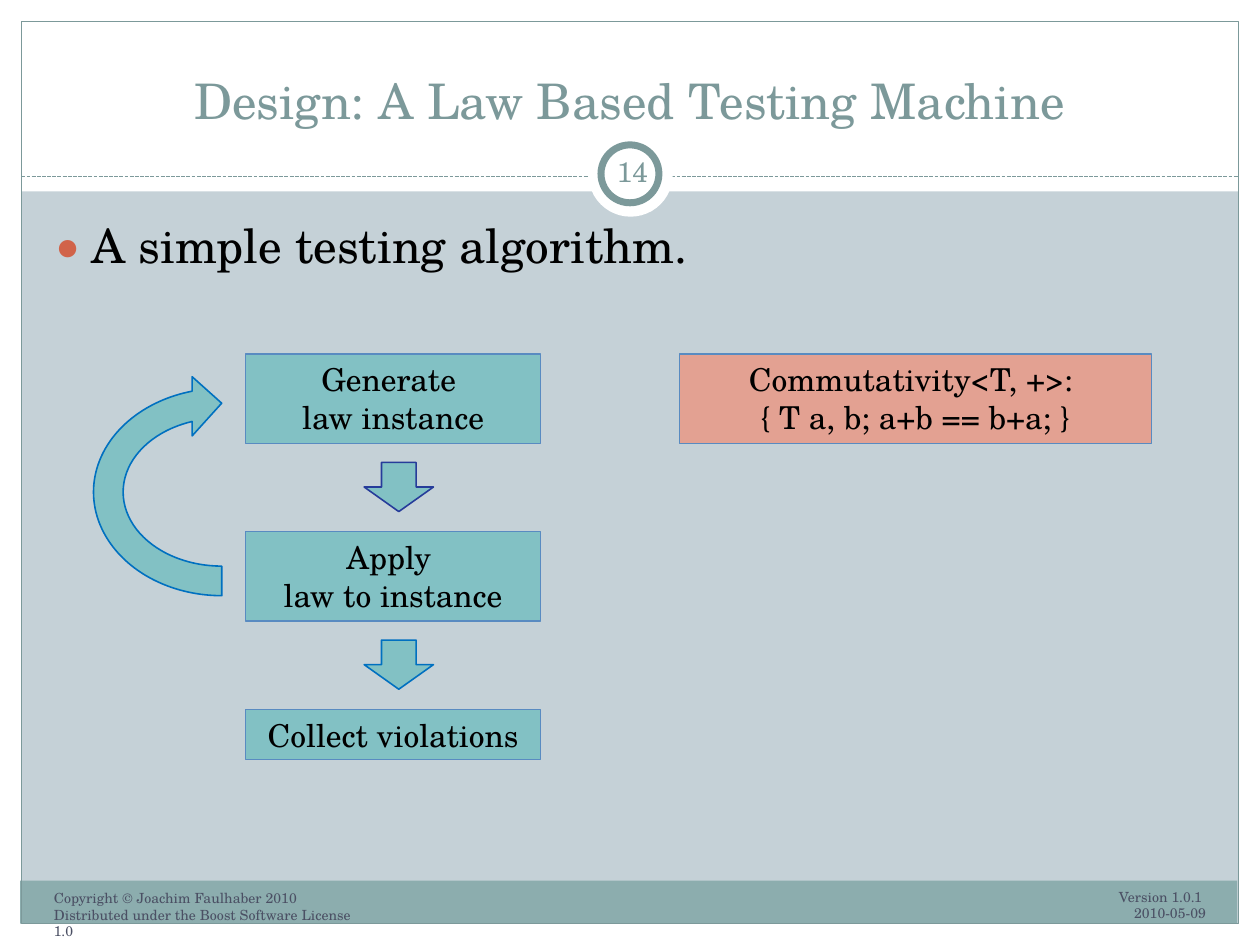
"""Build the slide about a law based testing machine."""
from lxml import etree
from pptx import Presentation
from pptx.dml.color import RGBColor
from pptx.enum.dml import MSO_LINE
from pptx.enum.shapes import MSO_CONNECTOR, MSO_SHAPE
from pptx.enum.text import MSO_ANCHOR, PP_ALIGN
from pptx.oxml.ns import qn
from pptx.util import Inches, Pt

RECTANGLE, ELLIPSE = MSO_SHAPE.RECTANGLE, MSO_SHAPE.OVAL
DOWN_ARROW, CIRCULAR_ARROW = MSO_SHAPE.DOWN_ARROW, MSO_SHAPE.CIRCULAR_ARROW
LEFT, CENTER, RIGHT = PP_ALIGN.LEFT, PP_ALIGN.CENTER, PP_ALIGN.RIGHT
TOP, MIDDLE, BOTTOM = MSO_ANCHOR.TOP, MSO_ANCHOR.MIDDLE, MSO_ANCHOR.BOTTOM

FONT = "TeX Gyre Schola"
WHITE, BLACK, GRAY, SLATE = "FFFFFF", "000000", "7C999A", "4B5064"
BACKGROUND, FOOTER_BAND, BULLET = "C5D1D7", "8CADAE", "D16349"
TEAL, SALMON, BOX_LINE, BLUE, NAVY = "82C1C4", "E3A192", "598BC1", "0070C0", "263C9A"

FRAME_PARTS = [
    (RECTANGLE, (0, 7.33, 10, 0.17), WHITE, None, 0),
    (RECTANGLE, (0, 0, 10, 1.52), WHITE, None, 0),
    (RECTANGLE, (0, 0, 0.17, 7.5), WHITE, None, 0),
    (RECTANGLE, (9.83, 0, 0.17, 7.5), WHITE, None, 0),
    (RECTANGLE, (0.16, 6.99, 9.66, 0.34), FOOTER_BAND, None, 0),
    (RECTANGLE, (0.17, 0.17, 9.66, 7.16), None, GRAY, 0.75),
]
BADGE_PARTS = [
    (ELLIPSE, (4.67, 1.05, 0.67, 0.67), WHITE, None, 0),
    (ELLIPSE, (4.77, 1.15, 0.46, 0.46), WHITE, GRAY, 4),
]
TITLE = "Design: A Law Based Testing Machine"
STATEMENT = "A simple testing algorithm."
TEXTS = [
    (TITLE, (0.33, 0.25, 9.33, 0.83), 28, GRAY, CENTER, BOTTOM),
    ("Copyright © Joachim Faulhaber 2010\vDistributed under the Boost Software License 1.0",
     (0.33, 7.01, 2.64, 0.4), 8, SLATE, LEFT, TOP),
    ("14", (4.77, 1.12, 0.5, 0.48), 16, GRAY, CENTER, MIDDLE),
    ("Version 1.0.1 \v2010-05-09", (8.52, 7, 1.15, 0.4), 8, SLATE, RIGHT, TOP),
]
STEPS = [
    ("Generate \vlaw instance", 0.71, NAVY),
    ("Apply \vlaw to instance", 0.71, BLUE),
    ("Collect violations", 0.4, None),
]
EXAMPLE = "Commutativity<T, +>: \v{ T a, b; a+b == b+a; }"
STEP_LEFT, STEP_TOP, STEP_WIDTH, STEP_PITCH = 1.95, 2.81, 2.34, 1.41
ARROW_LEFT, ARROW_OFFSET, ARROW_SIZE = 2.89, 0.86, (0.55, 0.39)


def color(value):
    return RGBColor.from_string(value)


def add_part(slide, kind, box, fill, line, width):
    shape = slide.shapes.add_shape(kind, *map(Inches, box))
    shape.shadow.inherit = False
    if fill:
        shape.fill.solid()
        shape.fill.fore_color.rgb = color(fill)
    else:
        shape.fill.background()
    if line:
        shape.line.color.rgb = color(line)
        shape.line.width = Pt(width)
    else:
        shape.line.fill.background()
    return shape


def write_text(shape, text, size, ink, align, anchor):
    frame = shape.text_frame
    frame.word_wrap = True
    frame.vertical_anchor = anchor
    paragraph = frame.paragraphs[0]
    paragraph.text = text
    paragraph.alignment = align
    for run in paragraph.runs:
        for name, value in {"name": FONT, "size": Pt(size)}.items():
            setattr(run.font, name, value)
        run.font.color.rgb = color(ink)
    return frame


def add_text(slide, text, box, size, ink, align, anchor):
    shape = slide.shapes.add_textbox(*map(Inches, box))
    return write_text(shape, text, size, ink, align, anchor)


def add_card(slide, text, box, fill):
    shape = add_part(slide, RECTANGLE, box, fill, BOX_LINE, 0.75)
    write_text(shape, text, 18, BLACK, CENTER, TOP)


def add_bullet(paragraph):
    properties = paragraph._p.get_or_add_pPr()
    properties.set("marL", str(Inches(0.3)))
    properties.set("indent", str(-Inches(0.3)))
    bullet_color = etree.SubElement(properties, qn("a:buClr"))
    etree.SubElement(bullet_color, qn("a:srgbClr"), val=BULLET)
    etree.SubElement(properties, qn("a:buSzPct"), val="85000")
    etree.SubElement(properties, qn("a:buFont"), typeface=FONT)
    etree.SubElement(properties, qn("a:buChar"), char="●")


def add_divider(slide):
    ends = map(Inches, (0.17, 1.4, 9.83, 1.4))
    divider = slide.shapes.add_connector(MSO_CONNECTOR.STRAIGHT, *ends)
    divider.line.color.rgb = color(GRAY)
    divider.line.width = Pt(0.75)
    divider.line.dash_style = MSO_LINE.SQUARE_DOT
    etree.SubElement(divider._element.spPr, qn("a:effectLst"))


def add_flow(slide):
    for index, (text, height, arrow_line) in enumerate(STEPS):
        top = STEP_TOP + index * STEP_PITCH
        add_card(slide, text, (STEP_LEFT, top, STEP_WIDTH, height), TEAL)
        if arrow_line:
            box = (ARROW_LEFT, top + ARROW_OFFSET, *ARROW_SIZE)
            add_part(slide, DOWN_ARROW, box, TEAL, arrow_line, 0.9)
    loop = add_part(slide, CIRCULAR_ARROW, (0.82, 2.77, 1.88, 2.27), TEAL, BLUE, 0.9)
    loop.rotation = 270


def main():
    presentation = Presentation()
    presentation.slide_width, presentation.slide_height = Inches(10), Inches(7.5)
    slide = presentation.slides.add_slide(presentation.slide_layouts[6])
    slide.background.fill.solid()
    slide.background.fill.fore_color.rgb = color(BACKGROUND)

    for part in FRAME_PARTS:
        add_part(slide, *part)
    add_divider(slide)
    for part in BADGE_PARTS:
        add_part(slide, *part)

    body = add_text(slide, STATEMENT, (0.33, 1.67, 9.3, 5), 27, BLACK, LEFT, TOP)
    add_bullet(body.paragraphs[0])
    add_flow(slide)
    add_card(slide, EXAMPLE, (5.39, STEP_TOP, 3.75, 0.71), SALMON)
    for text in TEXTS:
        add_text(slide, *text)
    presentation.save("out.pptx")


if __name__ == "__main__":
    main()
